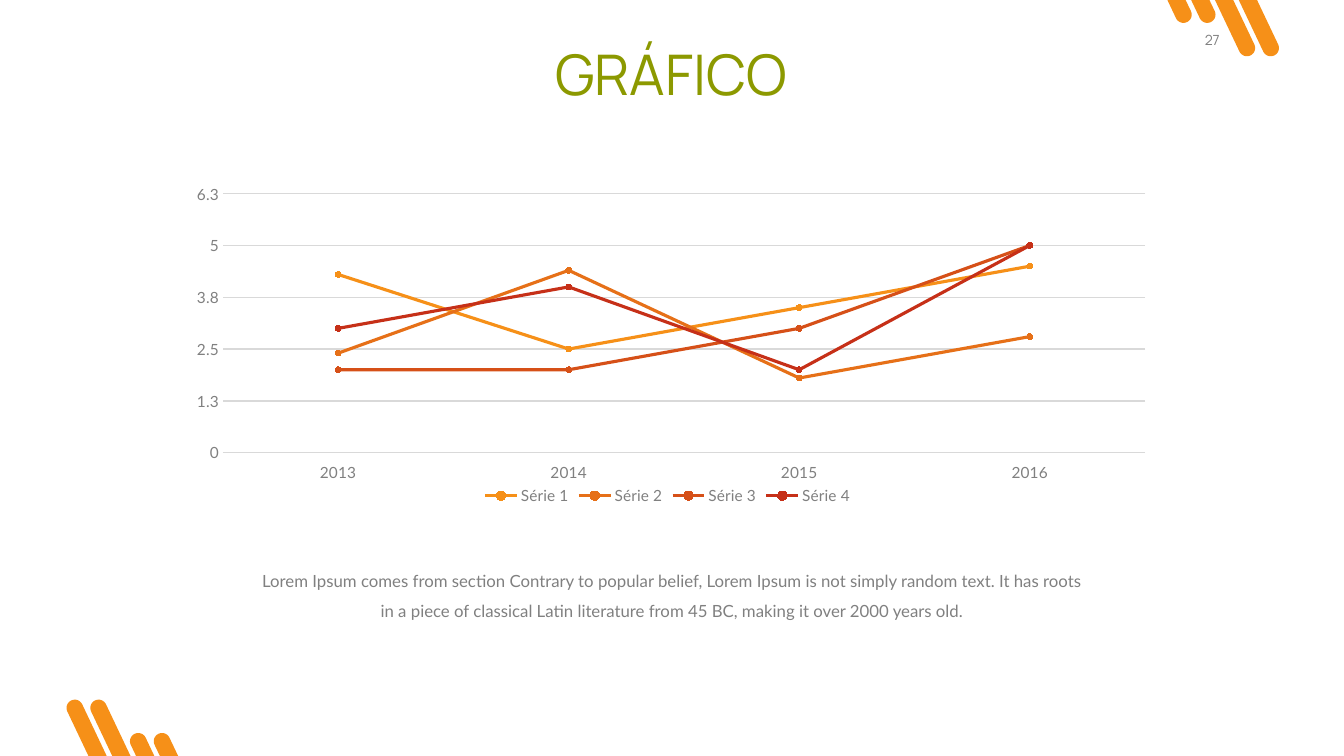
"""Build a slide with a line chart, a title and striped corners."""
from dataclasses import dataclass
from math import cos, pi, radians, sin

from lxml import etree
from pptx import Presentation
from pptx.chart.data import CategoryChartData
from pptx.dml.color import RGBColor
from pptx.enum.chart import (XL_CHART_TYPE, XL_LEGEND_POSITION, XL_MARKER_STYLE,
                             XL_TICK_LABEL_POSITION, XL_TICK_MARK)
from pptx.enum.text import MSO_AUTO_SIZE, PP_ALIGN
from pptx.oxml.ns import qn
from pptx.util import Cm, Pt

LINE_MARKERS = XL_CHART_TYPE.LINE_MARKERS
LEGEND_BOTTOM = XL_LEGEND_POSITION.BOTTOM
CIRCLE = XL_MARKER_STYLE.CIRCLE
LABELS_LOW = XL_TICK_LABEL_POSITION.LOW
NO_TICK = XL_TICK_MARK.NONE
FIT_SHAPE = MSO_AUTO_SIZE.SHAPE_TO_FIT_TEXT
CENTER, RIGHT = PP_ALIGN.CENTER, PP_ALIGN.RIGHT

CATEGORIES = ["2013", "2014", "2015", "2016"]
SERIES = {
    "Série 1": [4.3, 2.5, 3.5, 4.5],
    "Série 2": [2.4, 4.4, 1.8, 2.8],
    "Série 3": [2, 2, 3, 5],
    "Série 4": [3, 4, 2, 5],
}
PLOT_LAYOUT = {"layoutTarget": "inner", "xMode": "edge", "yMode": "edge",
               "x": 0.039, "y": 0.055, "w": 0.956, "h": 0.776}
BODY = ("Lorem Ipsum comes from section Contrary to popular belief, Lorem Ipsum is not "
        "simply random text. It has roots in a piece of classical Latin literature "
        "from 45 BC, making it over 2000 years old.")


@dataclass(frozen=True)
class Theme:
    """Colours, fonts and type sizes."""
    olive: str = "8C9900"
    gray: str = "808080"
    rule: str = "D9D9D9"
    black: str = "000000"
    oranges: tuple = ("F69018", "E67018", "D65018", "C63018")
    heading_font: str = "Manrope"
    body_font: str = "Lato"
    chart_font: str = "Roboto"
    title_size: float = 40
    body_size: float = 12
    label_size: float = 11
    small_size: float = 10


def set_values(target, values):
    """Set every attribute named in a dict."""
    for name, value in values.items():
        setattr(target, name, value)


def set_font(font, name, size, color):
    """Set typeface, size and colour."""
    set_values(font, {"name": name, "size": Pt(size)})
    font.color.rgb = RGBColor.from_string(color)


def set_line(line, color, width):
    """Set line colour and width."""
    line.color.rgb = RGBColor.from_string(color)
    line.width = Pt(width)


class SlideBuilder:
    """Draws styled elements on the current slide."""

    def __init__(self, slide, theme):
        """Keep the slide and its style."""
        self.slide = slide
        self.theme = theme

    def text(self, box, text, font, align, wrap=False, line_spacing=None):
        """Add a text box with one paragraph."""
        shape = self.slide.shapes.add_textbox(*map(Cm, box))
        frame = shape.text_frame
        margins = dict.fromkeys(
            ("margin_left", "margin_top", "margin_right", "margin_bottom"), Cm(0.13))
        set_values(frame, {**margins, "word_wrap": wrap, "auto_size": FIT_SHAPE})
        paragraph = frame.paragraphs[0]
        set_values(paragraph, {"alignment": align, "line_spacing": line_spacing})
        run = paragraph.add_run()
        run.text = text
        set_font(run.font, *font)

    def stripes(self, edge_x, edge_y, sign):
        """Add slanted round-ended stripes growing from a slide edge."""
        pitch, half_width, slant = 0.6, 0.23, radians(25.4)
        radius = half_width * cos(slant)
        steps = 16
        contours = []
        for index, depth in enumerate((1.21, 1.21, 0.37, 0.37)):
            base_x = -index * pitch
            center_x = base_x + depth * sin(slant) / cos(slant)
            points = [(base_x - half_width, 0), (base_x + half_width, 0)]
            for step in range(steps + 1):
                angle = pi * step / steps - slant
                points.append((center_x + radius * cos(angle), depth + radius * sin(angle)))
            contours.append([(Cm(edge_x + sign * x), Cm(edge_y + sign * y))
                             for x, y in points])
        builder = self.slide.shapes.build_freeform(*contours[0][0])
        builder.add_line_segments(contours[0][1:])
        for contour in contours[1:]:
            builder.move_to(*contour[0])
            builder.add_line_segments(contour[1:])
        shape = builder.convert_to_shape()
        shape.shadow.inherit = False
        shape.fill.solid()
        shape.fill.fore_color.rgb = RGBColor.from_string(self.theme.oranges[0])
        shape.line.fill.background()

    def line_chart(self, box, categories, series_values):
        """Add a line chart with markers and a bottom legend."""
        theme = self.theme
        label_font = (theme.body_font, theme.label_size, theme.gray)
        data = CategoryChartData()
        data.categories = categories
        for name, values in series_values.items():
            data.add_series(name, values)
        chart = self.slide.shapes.add_chart(LINE_MARKERS, *map(Cm, box), data).chart
        set_values(chart, {"has_title": False, "has_legend": True})
        set_font(chart.font, theme.chart_font, theme.small_size, theme.black)
        set_values(chart.legend, {"position": LEGEND_BOTTOM, "include_in_layout": True})
        set_font(chart.legend.font, *label_font)

        category_axis, value_axis = chart.category_axis, chart.value_axis
        for axis in (category_axis, value_axis):
            set_values(axis, {"major_tick_mark": NO_TICK, "minor_tick_mark": NO_TICK})
            set_font(axis.tick_labels.font, *label_font)
        category_axis.tick_label_position = LABELS_LOW
        set_line(category_axis.format.line, theme.rule, 1)
        set_values(value_axis, {"minimum_scale": 0, "maximum_scale": 6.25,
                                "major_unit": 1.25, "has_major_gridlines": True})
        set_values(value_axis.tick_labels,
                   {"number_format": "0.#", "number_format_is_linked": False})
        value_axis.format.line.fill.background()
        set_line(value_axis.major_gridlines.format.line, theme.rule, 1)

        plot = chart.plots[0]
        plot.vary_by_categories = False
        for series, color in zip(plot.series, theme.oranges):
            series.smooth = False
            set_line(series.format.line, color, 2.25)
            set_values(series.marker, {"style": CIRCLE, "size": 4})
            marker_format = series.marker.format
            marker_format.fill.solid()
            marker_format.fill.fore_color.rgb = RGBColor.from_string(color)
            set_line(marker_format.line, color, 0.75)
        self.place_plot(chart)

    def place_plot(self, chart):
        """Give the plot area a fixed inner layout."""
        plot_area = chart.plots[0]._element.getparent()
        for layout in plot_area.findall(qn("c:layout")):
            plot_area.remove(layout)
        layout = etree.Element(qn("c:layout"))
        manual = etree.SubElement(layout, qn("c:manualLayout"))
        for name, value in PLOT_LAYOUT.items():
            etree.SubElement(manual, qn(f"c:{name}")).set("val", str(value))
        plot_area.insert(0, layout)


def main():
    """Build and save the presentation."""
    presentation = Presentation()
    set_values(presentation, {"slide_width": Cm(33.87), "slide_height": Cm(19.05)})
    theme = Theme()
    builder = SlideBuilder(presentation.slides.add_slide(presentation.slide_layouts[6]), theme)
    builder.stripes(2.46, 19.05, -1)
    builder.stripes(31.45, 0, 1)
    builder.text((30.18, 0.66, 0.69, 0.69), "27",
                 (theme.heading_font, theme.small_size, theme.gray), RIGHT)
    builder.text((13.56, 0.86, 6.71, 1.96), "GRÁFICO",
                 (theme.heading_font, theme.title_size, theme.olive), CENTER)
    builder.line_chart((4.67, 4.42, 24.31, 8.41), CATEGORIES, SERIES)
    builder.text((6.35, 14, 21.18, 1.5), BODY,
                 (theme.body_font, theme.body_size, theme.gray), CENTER,
                 wrap=True, line_spacing=1.5)
    presentation.save("out.pptx")


if __name__ == "__main__":
    main()
